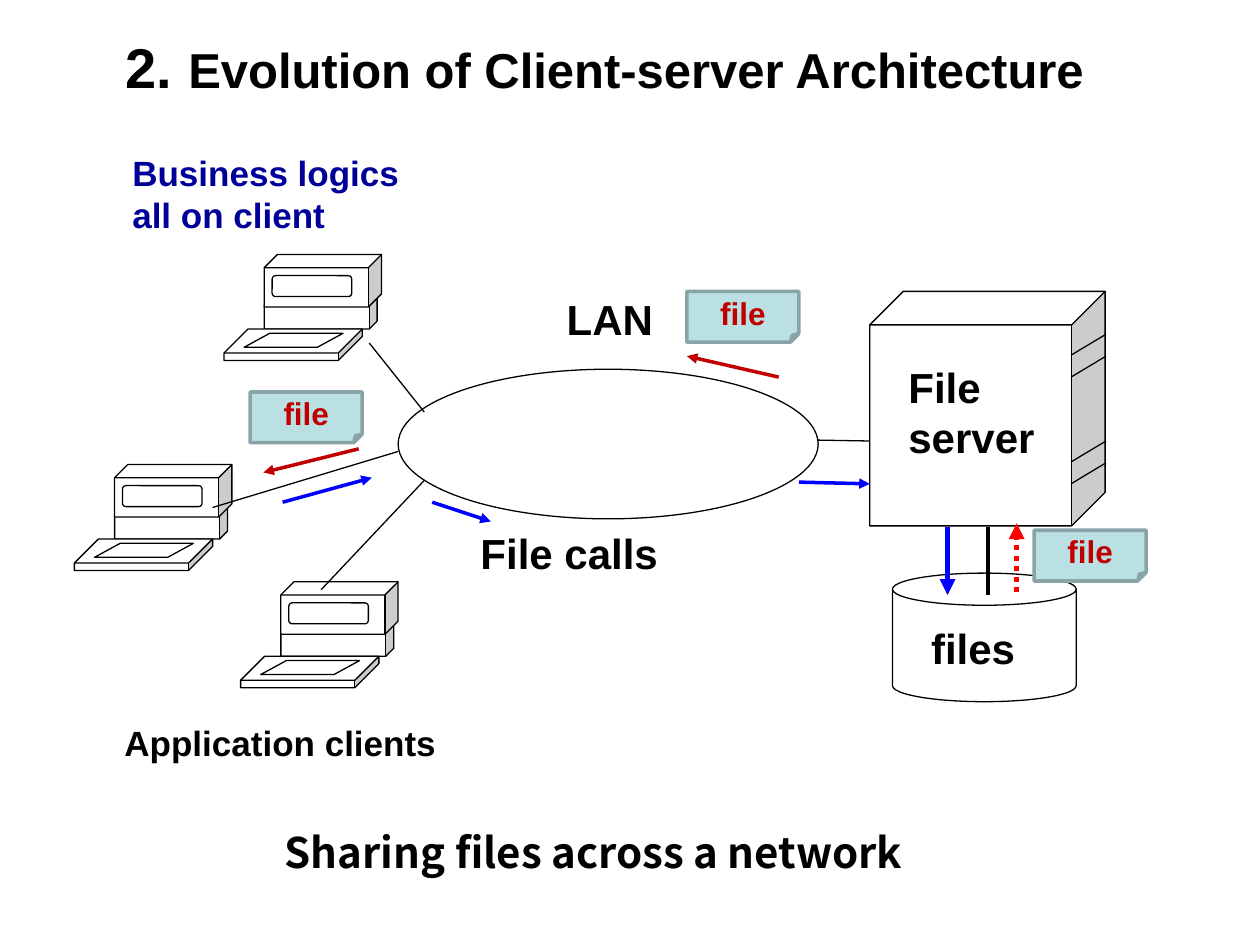
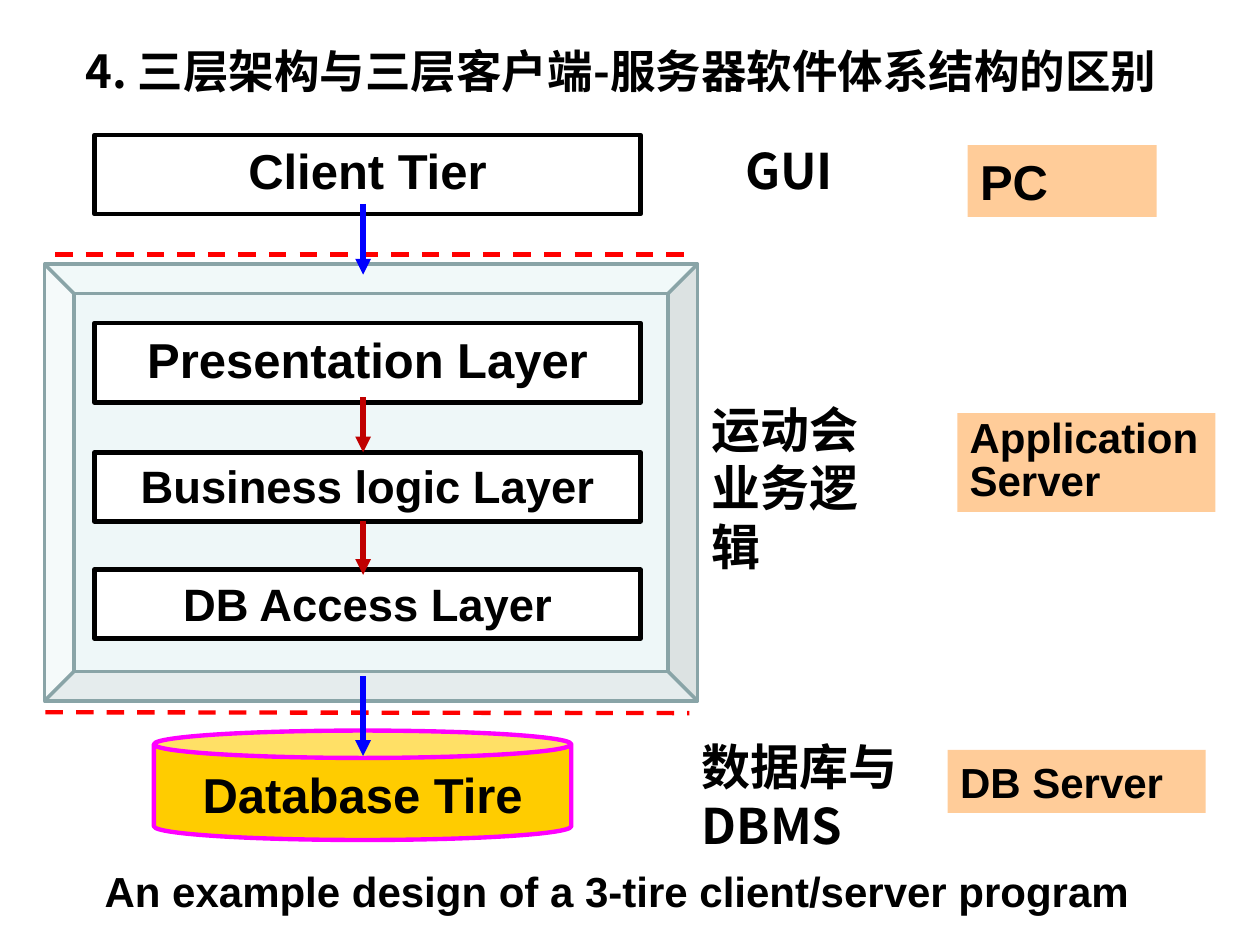
"""Build two slides on client-server and three-tier architecture."""
from lxml.etree import SubElement
from pptx import Presentation
from pptx.dml.color import RGBColor
from pptx.enum.dml import MSO_LINE as Dash
from pptx.enum.shapes import MSO_CONNECTOR as Link, MSO_SHAPE as Form
from pptx.enum.text import MSO_ANCHOR as Anchor, MSO_AUTO_SIZE as Fit, PP_ALIGN as Align
from pptx.oxml.ns import qn
from pptx.util import Pt

BLACK = RGBColor(0x00, 0x00, 0x00)
WHITE = RGBColor(0xFF, 0xFF, 0xFF)
BLUE = RGBColor(0x00, 0x00, 0xFF)
NAVY = RGBColor(0x00, 0x00, 0x99)
RED = RGBColor(0xFF, 0x00, 0x00)
CRIMSON = RGBColor(0xC0, 0x00, 0x00)
AQUA = RGBColor(0xBB, 0xE0, 0xE3)
SLATE = RGBColor(0x89, 0xA4, 0xA7)
GOLD = RGBColor(0xFF, 0xCC, 0x00)
PINK = RGBColor(0xFF, 0x00, 0xFF)
PEACH = RGBColor(0xFF, 0xCC, 0x99)
SANS, CJK = "Arial", "Noto Sans CJK SC"

THIN = {"fill": WHITE, "edge": BLACK, "width": 0.75}
PLAIN = {"fill": WHITE}
BOLD = {"fill": WHITE, "edge": BLACK, "width": 2.5, "align": Align.CENTER}
NOTE = {"fill": AQUA, "edge": SLATE, "width": 2, "align": Align.CENTER,
        "size": 18, "ink": CRIMSON, "anchor": Anchor.MIDDLE, "adj": 0.167}
TAG = {"fill": PEACH}
MID = {"align": Align.CENTER}
HAN = {"font": CJK, "size": 28}

HEADS = [
    {"box": (64, 14.5, 563, 46), "start": 2, "font": SANS, "wrap": False,
     "runs": [(" ", 32), ("Evolution of Client-server Architecture", 28)]},
    {"box": (31, 9.5, 648, 61), "start": None, "font": CJK, "wrap": True,
     "runs": [("4. 三层架构与三层客户端-服务器软件体系结构的区别", 26)]},
]

CLIENTS = [(128, 145.5), (42.5, 265.5), (137.5, 332.5)]
PARTS = [
    (Form.CUBE, (23, 24.5, 64.5, 18), 0.25),
    (Form.CUBE, (23, 0, 67, 30), 0.25),
    (Form.ROUNDED_RECTANGLE, (27.5, 12, 45.5, 12), 0.167),
    (Form.CUBE, (0, 42.5, 79, 18), 0.763),
    (Form.PARALLELOGRAM, (11.5, 45, 56.5, 8), 1.83),
]
NETWORK = [
    (Form.CUBE, (497, 166.5, 134.5, 134), "", {**THIN, "adj": 0.143}),
    (Form.RECTANGLE, (512, 203, 90, 86), "File\nserver", PLAIN),
    (Form.OVAL, (227.5, 211, 240, 85.5), "", THIN),
    (Form.RECTANGLE, (64, 409, 193, 37), "Application clients", {**PLAIN, "size": 20}),
    (Form.RECTANGLE, (258, 298, 134.5, 37), "File calls", {**PLAIN, **MID}),
    (Form.CAN, (510, 327.5, 105, 73.5), "", THIN),
    (Form.RECTANGLE, (525, 352, 75, 37), "files", PLAIN),
    (Form.RECTANGLE, (311, 164, 75, 33), "LAN", {**PLAIN, **MID}),
    (None, (155.5, 468.5, 386, 40), "Sharing files across a network", {"font": CJK}),
    (None, (68.5, 83, 170, 55.5), "Business logics\nall on client", {"size": 20, "ink": NAVY}),
]
NOTES = [(392.5, 166.5), (591, 303), (143, 224)]
RIBS = [203, 215.5, 264, 276.5]
WIRES = [(211, 196, 242.5, 235.5), (121.5, 290, 227.5, 258),
         (183.5, 337, 242.5, 274.5), (467.5, 251.5, 497, 252)]
WIRES += [(612, y, 632, y - 12) for y in RIBS]
FLOWS = [
    ((541.5, 301, 541.5, 340), BLUE, 3, True, None),
    ((247, 287, 280.5, 298), BLUE, 2, True, None),
    ((161.5, 287, 212.5, 273), BLUE, 2, True, None),
    ((456.5, 275.5, 497, 276.5), BLUE, 2, True, None),
    ((564.5, 301, 564.5, 340), BLACK, 2.25, False, None),
    ((445, 215.5, 392.5, 203.5), CRIMSON, 2, True, None),
    ((581, 338.5, 581, 299), RED, 3, True, Dash.ROUND_DOT),
    ((205, 256.5, 150.5, 270), CRIMSON, 2, True, None),
]

TIERS = [("Client Tier", 77, 45.5, 28), ("Presentation Layer", 184.5, 45.5, 28),
         ("Business logic Layer", 258.5, 39.5, 25.9), ("DB Access Layer", 325.5, 39.5, 25.9)]
LAYERS = [
    (Form.BEVEL, (25.5, 151, 373, 249.5), "",
     {"fill": AQUA, "edge": SLATE, "width": 2, "adj": 0.067, "alpha": 24}),
    (None, (22.5, 491, 660, 36), "An example design of a 3-tire client/server program", MID),
    *[(Form.RECTANGLE, (54, y, 312, h), word, {**BOLD, "size": size})
      for word, y, h, size in TIERS],
    (Form.CAN, (88, 417.5, 238.5, 62.5), "Database Tire",
     {**BOLD, "fill": GOLD, "edge": PINK, "size": 28}),
    (None, (405.5, 77, 91, 41), "GUI", {**HAN, **MID}),
    (None, (399.5, 224.5, 124.5, 108), "运动会业务逻辑", HAN),
    (None, (394, 417.5, 130, 75), "数据库与DBMS", HAN),
    (Form.RECTANGLE, (547, 236, 147.5, 56.5), "Application\nServer", {**TAG, "lead": 0.85}),
    (Form.RECTANGLE, (541.5, 428.5, 147.5, 36), "DB Server", TAG),
    (Form.RECTANGLE, (553, 83, 108, 41), "PC", {**TAG, "size": 28}),
]
AXIS = 207.5
STEPS = [(116.5, 157, BLUE), (227, 258.5, CRIMSON), (297.5, 328.5, CRIMSON), (386.5, 432, BLUE)]
BOUNDS = [(31.5, 145.5, 394, 145.5), (26, 407, 394, 407.5)]


def put(item, **vals):
    for name, val in vals.items():
        setattr(item, name, val)


def write(para, runs, font, ink):
    for text, size in runs:
        run = para.add_run()
        run.text = text
        put(run.font, name=font, size=Pt(size), bold=True)
        run.font.color.rgb = ink
        SubElement(run._r.get_or_add_rPr(), qn("a:ea"), typeface=font)


def draw(slide, form, box, text, look):
    spot = [Pt(n) for n in box]
    if form is None:
        shape = slide.shapes.add_textbox(*spot)
    else:
        shape = slide.shapes.add_shape(form, *spot)
        shape.shadow.inherit = False
        paint(shape, look)
    if not text:
        return
    frame = shape.text_frame
    put(frame, word_wrap=True, vertical_anchor=look.get("anchor", Anchor.TOP))
    for i, line in enumerate(text.split("\n")):
        para = frame.add_paragraph() if i else frame.paragraphs[0]
        put(para, alignment=look.get("align", Align.LEFT), line_spacing=look.get("lead"))
        write(para, [(line, look.get("size", 24))], look.get("font", SANS), look.get("ink", BLACK))


def paint(shape, look):
    shape.fill.solid()
    shape.fill.fore_color.rgb = look["fill"]
    props = shape._element.spPr
    if "alpha" in look:
        tint = props.find(".//" + qn("a:srgbClr"))
        SubElement(tint, qn("a:alpha"), val=str(look["alpha"] * 1000))
    if "edge" in look:
        shape.line.color.rgb = look["edge"]
        shape.line.width = Pt(look["width"])
    else:
        shape.line.fill.background()
    if "adj" in look:
        shift = props.find(".//" + qn("a:avLst"))
        for guide in list(shift):
            shift.remove(guide)
        size = round(look["adj"] * 100000)
        SubElement(shift, qn("a:gd"), name="adj", fmla=f"val {size}")


def join(slide, ends, ink=BLACK, width=0.75, head=False, dash=None):
    wire = slide.shapes.add_connector(Link.STRAIGHT, *[Pt(n) for n in ends])
    wire.line.color.rgb = ink
    put(wire.line, width=Pt(width), dash_style=dash)
    if head:
        SubElement(wire.line._get_or_add_ln(), qn("a:tailEnd"), type="triangle")
    SubElement(wire._element.spPr, qn("a:effectLst"))


def start(deck, head):
    slide = deck.slides.add_slide(deck.slide_layouts[5])
    title = slide.shapes.title
    put(title, **dict(zip(("left", "top", "width", "height"), map(Pt, head["box"]))))
    frame = title.text_frame
    put(frame, auto_size=Fit.NONE, word_wrap=head["wrap"], vertical_anchor=Anchor.MIDDLE)
    para = frame.paragraphs[0]
    para.alignment = Align.CENTER
    if head["start"]:
        props = para._p.get_or_add_pPr()
        props.set("marL", str(Pt(27)))
        props.set("indent", str(-Pt(27)))
        tint = SubElement(props, qn("a:buClr"))
        SubElement(tint, qn("a:srgbClr"), val=str(BLACK))
        SubElement(props, qn("a:buFont"), typeface=SANS)
        SubElement(props, qn("a:buAutoNum"), type="arabicPeriod", startAt=str(head["start"]))
    write(para, head["runs"], head["font"], BLACK)
    return slide


def share(slide):
    for left, top in CLIENTS:
        for form, (x, y, w, h), adj in PARTS:
            draw(slide, form, (left + x, top + y, w, h), "", {**THIN, "adj": adj})
    for part in NETWORK:
        draw(slide, *part)
    for ends in WIRES:
        join(slide, ends)
    for flow in FLOWS:
        join(slide, *flow)
    for x, y in NOTES:
        draw(slide, Form.FOLDED_CORNER, (x, y, 64, 29), "file", NOTE)


def stack(slide):
    for part in LAYERS:
        draw(slide, *part)
    for ends in BOUNDS:
        join(slide, ends, RED, 2.5, dash=Dash.DASH)
    for top, end, ink in STEPS:
        join(slide, (AXIS, top, AXIS, end), ink, 3, True)


def main():
    deck = Presentation()
    put(deck, slide_width=Pt(720), slide_height=Pt(540))
    for head, fill in zip(HEADS, (share, stack)):
        fill(start(deck, head))
    deck.save("out.pptx")


if __name__ == "__main__":
    main()
